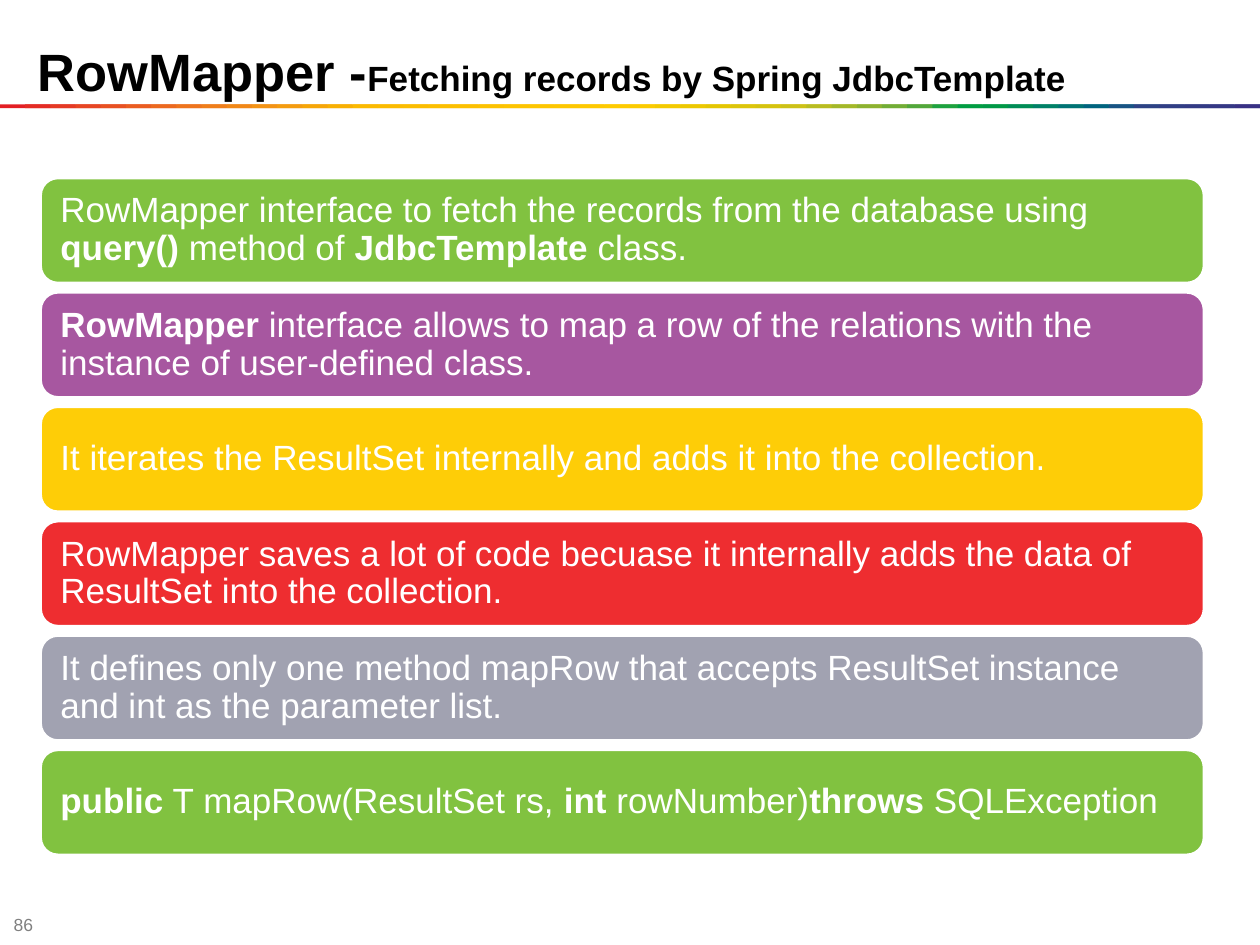
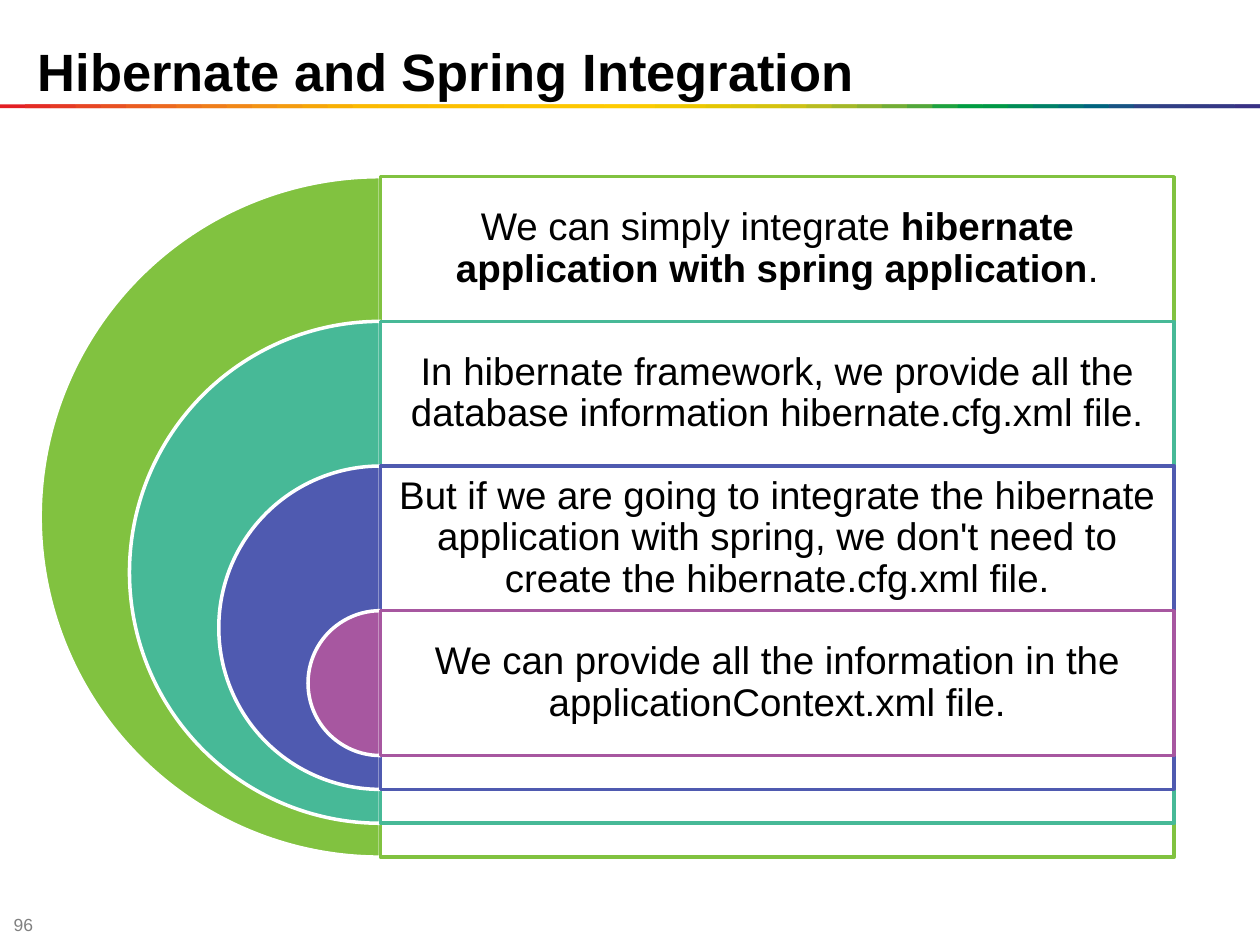
from lxml import etree
from pptx import Presentation
from pptx.dml.color import RGBColor
from pptx.enum.shapes import MSO_SHAPE
from pptx.enum.text import MSO_ANCHOR, MSO_AUTO_SIZE, PP_ALIGN
from pptx.oxml.ns import qn
from pptx.util import Pt

RECTANGLE, ROUNDED, PIE = MSO_SHAPE.RECTANGLE, MSO_SHAPE.ROUNDED_RECTANGLE, MSO_SHAPE.PIE
TOP, MIDDLE = MSO_ANCHOR.TOP, MSO_ANCHOR.MIDDLE
LEFT, CENTER = PP_ALIGN.LEFT, PP_ALIGN.CENTER

# Content: text between ** marks is bold
BAR_SLIDE = {
    "title": [("RowMapper -", 30), ("Fetching records by Spring JdbcTemplate", 20)],
    "title_height": 80,
    "number": "86",
    "bars": [
        ("81C240", "RowMapper interface to fetch the records from the database "
                   "using **query()** method of **JdbcTemplate** class."),
        ("A757A0", "**RowMapper** interface allows to map a row of the relations "
                   "with the instance of user-defined class."),
        ("FECD07", "It iterates the ResultSet internally and adds it into the collection."),
        ("EE2D30", "RowMapper saves a lot of code becuase it internally adds the data "
                   "of ResultSet into the collection."),
        ("A1A2B1", "It defines only one method mapRow that accepts ResultSet instance "
                   "and int as the parameter list."),
        ("81C240", "**public** T mapRow(ResultSet rs, **int** rowNumber)"
                   "**throws** SQLException"),
    ],
}
TARGET_SLIDE = {
    "title": [("Hibernate and Spring Integration", 30)],
    "title_height": 44,
    "number": "96",
    "rings": [
        ("81C240", "We can simply integrate **hibernate application with spring application**."),
        ("47B997", "In hibernate framework, we provide all the database information "
                   "hibernate.cfg.xml file."),
        ("4F5AB0", "But if we are going to integrate the hibernate application with spring, "
                   "we don't need to create the hibernate.cfg.xml file."),
        ("A757A0", "We can provide all the information in the applicationContext.xml file."),
    ],
}

# Shared look
FONT, WHITE, BLACK, GRAY = "Arial", "FFFFFF", "000000", "808080"
SLIDE_WIDTH, SLIDE_HEIGHT = 720, 540
RAINBOW = """
E31E24 E42C24 E53A24 E74623 E85122 EA5D21 EC691F EE741D EF7E1A F18817
F39314 F49C0F F6A607 F8B002 FBBA00 FBBB00 FBBD00 FCBF00 FCC000 FCC200
FDC400 FDC600 FDC700 FEC900 FECB00 FBCB00 F3CA00 ECC800 E4C602 DCC50A
D5C30E CCC117 B8BC21 A3B829 8CB230 71AD36 51A73B 1DA240 009D43 009846
008C57 008068 007275 00637F 185384 2E4285 313E85 333B85 353885 393185
""".split()


def color(value):
    return RGBColor.from_string(value)


def place(left, top, width, height):
    return Pt(left), Pt(top), Pt(width), Pt(height)


def add_shape(slide, kind, box, fill, line=None):
    shape = slide.shapes.add_shape(kind, *place(*box))
    shape.shadow.inherit = False
    shape.fill.solid()
    shape.fill.fore_color.rgb = color(fill)
    if line:
        shape.line.color.rgb = color(line)
        shape.line.width = Pt(2)
    else:
        shape.line.fill.background()
    return shape


def set_opacity(shape, percent):
    fill_color = shape.fill._xPr.find(qn("a:solidFill"))[0]
    etree.SubElement(fill_color, qn("a:alpha")).set("val", str(percent * 1000))


def format_run(run, size, text_color, bold):
    run.font.name = FONT
    run.font.size = Pt(size)
    run.font.bold = bold
    run.font.color.rgb = color(text_color)


def set_frame(frame, anchor, inset_x, inset_y):
    frame.word_wrap = True
    frame.auto_size = MSO_AUTO_SIZE.NONE
    frame.vertical_anchor = anchor
    frame.margin_left = frame.margin_right = Pt(inset_x)
    frame.margin_top = frame.margin_bottom = Pt(inset_y)


def write_text(shape, text, size, text_color, align, inset_x, inset_y):
    set_frame(shape.text_frame, MIDDLE, inset_x, inset_y)
    paragraph = shape.text_frame.paragraphs[0]
    paragraph.alignment = align
    paragraph.line_spacing = 0.9
    for index, part in enumerate(text.split("**")):
        if part:
            run = paragraph.add_run()
            run.text = part
            format_run(run, size, text_color, index % 2 == 1)


def add_base_slide(presentation, content):
    """Add a slide with the rainbow rule, the title and the page number."""
    slide = presentation.slides.add_slide(presentation.slide_layouts[5])

    # Rainbow rule: tiles overlap by half, up to the right edge
    step = SLIDE_WIDTH / len(RAINBOW)
    for index, fill in enumerate(RAINBOW):
        left = index * step
        width = min(2 * step, SLIDE_WIDTH - left)
        add_shape(slide, RECTANGLE, (left, 59.6, width, 2.2), fill)

    # Title
    title = slide.shapes.title
    title.left, title.top, title.width, title.height = place(
        14.4, 18.8, 648, content["title_height"])
    set_frame(title.text_frame, TOP, 7.2, 3.6)
    paragraph = title.text_frame.paragraphs[0]
    paragraph.alignment = LEFT
    for text, size in content["title"]:
        run = paragraph.add_run()
        run.text = text
        format_run(run, size, BLACK, True)

    # Page number
    number = slide.shapes.add_textbox(*place(0.8, 523.5, 28, 11.5))
    write_text(number, content["number"], 10, GRAY, LEFT, 7.2, 0)
    return slide


def build_bar_slide(presentation):
    slide = add_base_slide(presentation, BAR_SLIDE)
    first_top, pitch, height = 101.5, 65.36, 60.5
    for index, (fill, text) in enumerate(BAR_SLIDE["bars"]):
        box = (23, first_top + index * pitch, 665.3, height)
        bar = add_shape(slide, ROUNDED, box, fill, WHITE)
        write_text(bar, text, 20, WHITE, LEFT, 8.6, 6)


def build_target_slide(presentation):
    slide = add_base_slide(presentation, TARGET_SLIDE)
    center, first_top, row_height = 217.4, 101, 82.65
    first_diameter, shrink, panel_width = 388.8, 102, 453.6
    for index, (ring_color, text) in enumerate(TARGET_SLIDE["rings"]):
        top = first_top + index * row_height
        diameter = first_diameter - index * shrink

        # Left half of a disc, from 90 to 270 degrees
        half_disc = add_shape(
            slide, PIE, (center - diameter / 2, top, diameter, diameter), ring_color, WHITE)
        half_disc.adjustments[0], half_disc.adjustments[1] = 54, 162

        # Panel as tall as the disc, with its text in the top row
        panel = add_shape(
            slide, RECTANGLE, (center, top, panel_width, diameter), WHITE, ring_color)
        set_opacity(panel, 90)
        label = slide.shapes.add_textbox(*place(center, top, panel_width, row_height))
        write_text(label, text, 22, BLACK, CENTER, 6.6, 6.6)


def main():
    presentation = Presentation()
    presentation.slide_width, presentation.slide_height = Pt(SLIDE_WIDTH), Pt(SLIDE_HEIGHT)
    build_bar_slide(presentation)
    build_target_slide(presentation)
    presentation.save("out.pptx")


if __name__ == "__main__":
    main()
